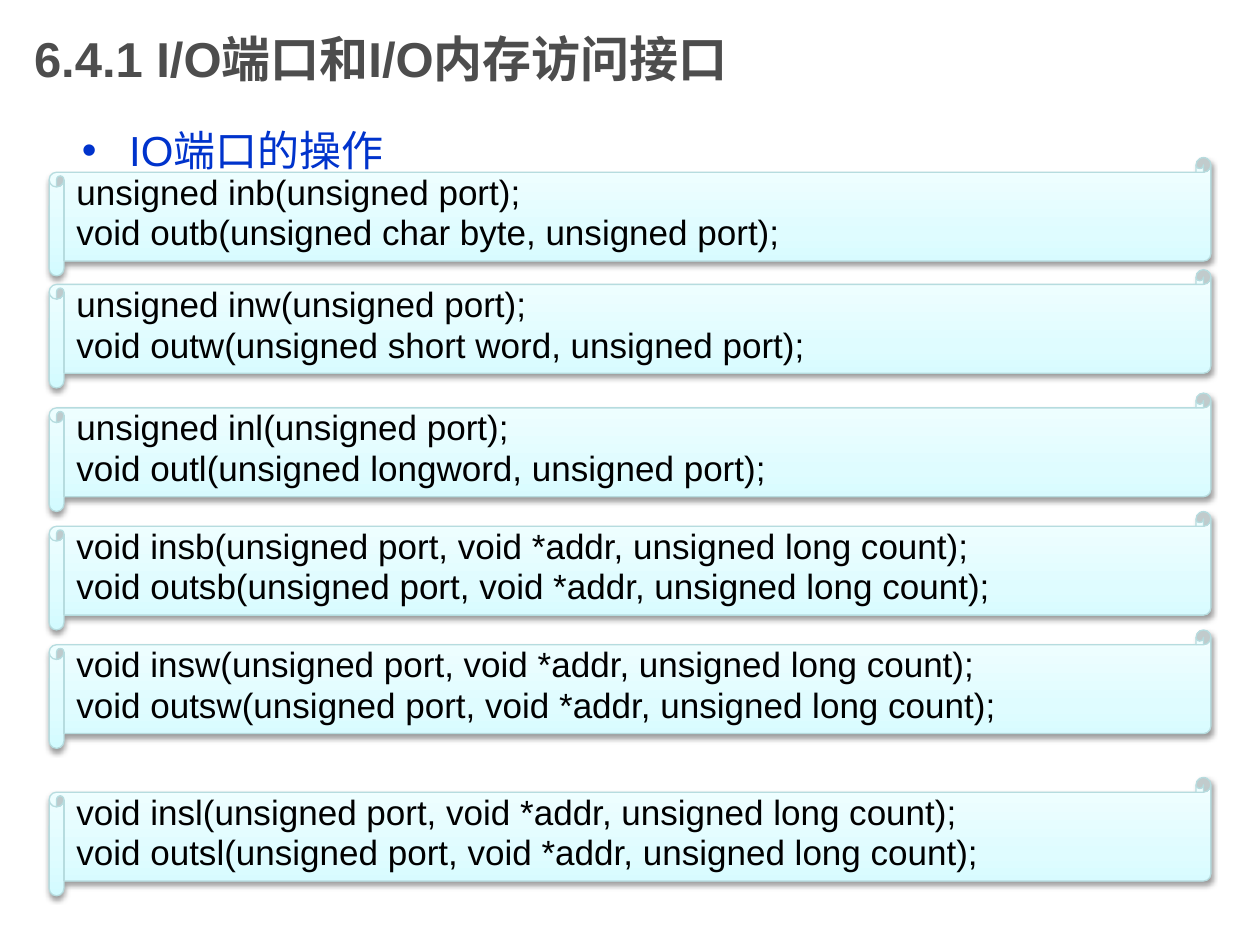
from pptx import Presentation, util as u
from pptx.dml.color import RGBColor
from pptx.enum import shapes, text
from pptx.oxml import parse_xml
from pptx.oxml.ns import nsdecls, qn

# Content
TITLE = "6.4.1 I/O端口和I/O内存访问接口"
TOPIC = "IO端口的操作"
BLOCK = "unsigned port, void *addr, unsigned long count"
# Top of each scroll in inches, then its two declarations
SCROLLS = [
    (1.25, "unsigned inb(unsigned port);",
     "void outb(unsigned char byte, unsigned port);"),
    (2.14, "unsigned inw(unsigned port);",
     "void outw(unsigned short word, unsigned port);"),
    (3.12, "unsigned inl(unsigned port);",
     "void outl(unsigned longword, unsigned port);"),
    (4.06, f"void insb({BLOCK});", f"void outsb({BLOCK});"),
    (5.00, f"void insw({BLOCK});", f"void outsw({BLOCK});"),
    (6.17, f"void insl({BLOCK});", f"void outsl({BLOCK});"),
]

THEME = {
    "font": "Arial",
    "title": (28, "4D4D4D"),
    "topic": (24, "0033CC"),
    "code": (20, "000000"),
    "line": "B6DCDF",
    "gradient": [(0, "D3FBFF"), (35, "DFFCFF"), (100, "F2FEFF")],
}
WIDTH, HEIGHT = 10, 7.5
SCROLL_WIDTH, SCROLL_HEIGHT = 9.22, 0.94
SCROLL_LEFT = (WIDTH - SCROLL_WIDTH) / 2


def place(box, left, top, width, height):
    box.left, box.top = u.Inches(left), u.Inches(top)
    box.width, box.height = u.Inches(width), u.Inches(height)


def style(para, role, bold=False):
    size, color = THEME[role]
    for span in para.runs:
        span.font.name = THEME["font"]
        span.font.size = u.Pt(size)
        span.font.bold = bold
        span.font.color.rgb = RGBColor.from_string(color)


def fill_placeholder(box, words, role, bold=False):
    frame = box.text_frame
    frame.text = words
    frame.auto_size = text.MSO_AUTO_SIZE.NONE
    style(frame.paragraphs[0], role, bold)
    return frame


def paint_scroll(box):
    """Vertical gradient, thin outline and soft shadow below."""
    stops = "".join(
        f'<a:gs pos="{share * 1000}"><a:srgbClr val="{color}"/></a:gs>'
        for share, color in THEME["gradient"])
    box.fill.background()
    blank = box.element.spPr.find(qn("a:noFill"))
    blank.addprevious(parse_xml(
        f'<a:gradFill {nsdecls("a")} rotWithShape="1"><a:gsLst>{stops}</a:gsLst>'
        '<a:lin ang="16200000" scaled="0"/></a:gradFill>'))
    box.element.spPr.remove(blank)
    box.line.color.rgb = RGBColor.from_string(THEME["line"])
    box.line.width = u.Pt(0.75)
    box.shadow.inherit = False
    box.element.spPr.find(qn("a:effectLst")).append(parse_xml(
        f'<a:outerShdw {nsdecls("a")} blurRad="40000" dist="20000" dir="5400000" '
        'rotWithShape="0"><a:srgbClr val="000000"><a:alpha val="38000"/>'
        '</a:srgbClr></a:outerShdw>'))


def format_code(para):
    """Hanging indent, tight lines, and a gap relative to the type size."""
    para.alignment = text.PP_ALIGN.LEFT
    para.line_spacing = 0.8
    props = para._p.get_or_add_pPr()
    props.set("marL", str(u.Inches(0.5)))
    props.set("indent", str(-u.Inches(0.5)))
    props.find(qn("a:lnSpc")).addnext(parse_xml(
        f'<a:spcBef {nsdecls("a")}><a:spcPct val="20000"/></a:spcBef>'))
    style(para, "code")


def add_scroll(page, top, lines):
    box = page.shapes.add_shape(
        shapes.MSO_SHAPE.HORIZONTAL_SCROLL, u.Inches(SCROLL_LEFT),
        u.Inches(top), u.Inches(SCROLL_WIDTH), u.Inches(SCROLL_HEIGHT))
    paint_scroll(box)
    frame = box.text_frame
    frame.text = "\n".join(lines)
    frame.word_wrap = True
    frame.auto_size = text.MSO_AUTO_SIZE.SHAPE_TO_FIT_TEXT
    frame.vertical_anchor = text.MSO_ANCHOR.TOP
    for para in frame.paragraphs:
        format_code(para)


def main():
    deck = Presentation()
    deck.slide_width, deck.slide_height = u.Inches(WIDTH), u.Inches(HEIGHT)
    page = deck.slides.add_slide(deck.slide_layouts[1])

    # Title and topic
    title, body = page.placeholders
    place(title, 0.17, 0, 7.5, 0.92)
    frame = fill_placeholder(title, TITLE, "title", bold=True)
    frame.vertical_anchor = text.MSO_ANCHOR.MIDDLE
    frame.paragraphs[0].alignment = text.PP_ALIGN.LEFT
    place(body, 0.55, 0.94, 8.5, 5.17)
    fill_placeholder(body, TOPIC, "topic")

    # Port functions
    for top, *lines in SCROLLS:
        add_scroll(page, top, lines)

    deck.save("out.pptx")


if __name__ == "__main__":
    main()
